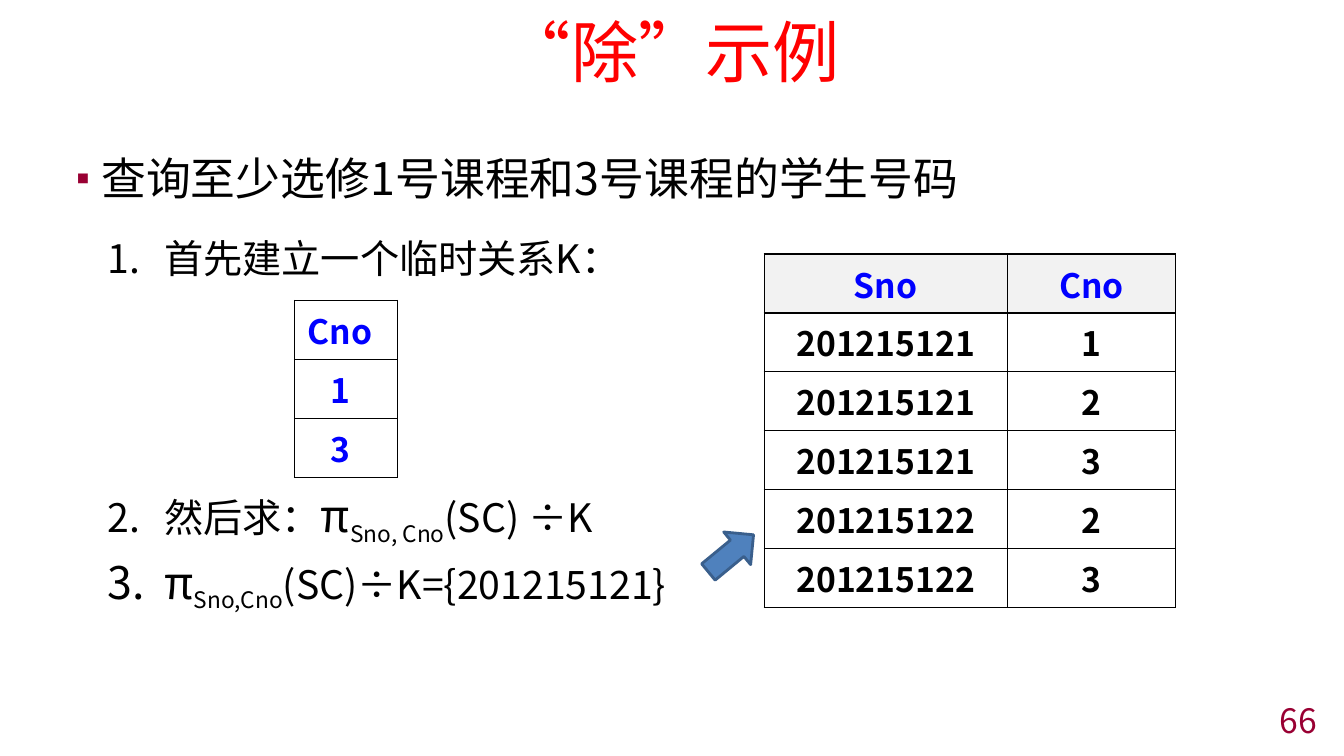
"""Build the slide that works through an example of relational division."""
import pptx
import pptx.util
import pptx.dml.color
import pptx.enum.shapes
import pptx.enum.text
import pptx.oxml
import pptx.oxml.ns
from lxml import etree

Inches = pptx.util.Inches
Pt = pptx.util.Pt
RGBColor = pptx.dml.color.RGBColor
PP_ALIGN = pptx.enum.text.PP_ALIGN
MSO_ANCHOR = pptx.enum.text.MSO_ANCHOR
qn = pptx.oxml.ns.qn

FONT = "Noto Sans CJK SC"
RED = RGBColor(0xFF, 0x00, 0x00)
BLACK = RGBColor(0x00, 0x00, 0x00)
BLUE = RGBColor(0x00, 0x00, 0xFF)
CRIMSON = RGBColor(0x99, 0x00, 0x33)
HEADER_GREY = RGBColor(0xF2, 0xF2, 0xF2)
ARROW_FILL = RGBColor(0x4F, 0x81, 0xBD)
ARROW_EDGE = RGBColor(0x3A, 0x5F, 0x8C)
ROW_HEIGHT = 3.51 / 6


def write(paragraph, text, size=28, color=BLACK, bold=False, baseline=0, align=None):
    """Add one formatted run to a paragraph."""
    run = paragraph.add_run()
    run.text = text
    run.font.size = Pt(size)
    run.font.bold = bold
    run.font.color.rgb = color
    run.font.name = FONT
    properties = run.font._element
    etree.SubElement(properties, qn("a:ea"), typeface=FONT)
    if baseline:
        properties.set("baseline", str(baseline * 1000))
    if align is not None:
        paragraph.alignment = align


def add_relation(rows, left, top, widths, body_color, header_fill, align, body_inset):
    """Draw a relation as a bordered table with a blue header."""
    relation = slide.shapes.add_table(
        len(rows), len(widths), Inches(left), Inches(top),
        Inches(sum(widths)), Inches(ROW_HEIGHT * len(rows))).table
    relation.first_row = relation.horz_banding = False
    for column, width in zip(relation.columns, widths):
        column.width = Inches(width)
    for r, row in enumerate(rows):
        for c, value in enumerate(row):
            cell = relation.cell(r, c)
            cell.margin_left = Inches(body_inset if r else 0.13)
            cell.margin_right = Inches(0.13)
            cell.margin_top = cell.margin_bottom = Inches(0.05)
            for side in ("lnL", "lnR", "lnT", "lnB"):
                border = etree.SubElement(cell._tc.get_or_add_tcPr(), qn("a:" + side), w=str(Pt(1)))
                paint = etree.SubElement(border, qn("a:solidFill"))
                etree.SubElement(paint, qn("a:srgbClr"), val=str(BLACK))
            if r == 0 and header_fill is not None:
                cell.fill.solid()
                cell.fill.fore_color.rgb = header_fill
            else:
                cell.fill.background()
            write(cell.text_frame.paragraphs[0], value, size=24, bold=True,
                  color=body_color if r else BLUE, align=align)


deck = pptx.Presentation()
deck.slide_width = Inches(13.33)
deck.slide_height = Inches(7.5)
slide = deck.slides.add_slide(deck.slide_layouts[1])

title = slide.shapes.title
title.left, title.top, title.width, title.height = Inches(0), Inches(0), Inches(13.33), Inches(1)
title.text_frame.auto_size = pptx.enum.text.MSO_AUTO_SIZE.NONE
title.text_frame.vertical_anchor = MSO_ANCHOR.MIDDLE
write(title.text_frame.paragraphs[0], "“除”示例", size=48, color=RED, align=PP_ALIGN.CENTER)

body = slide.placeholders[1]
body.left, body.top, body.width, body.height = Inches(0.65), Inches(1.17), Inches(12.04), Inches(5.98)
steps = body.text_frame
steps.auto_size = pptx.enum.text.MSO_AUTO_SIZE.NONE
steps.vertical_anchor = MSO_ANCHOR.TOP
steps.margin_top = Inches(0.32)
steps.margin_left = Inches(0)

question = steps.paragraphs[0]
question.space_before = Pt(0)
question.line_spacing = 1.0
write(question, "查询至少选修1号课程和3号课程的学生号码", size=32)
marks = question._p.get_or_add_pPr()
marks.set("marL", str(Inches(0.32)))
marks.set("indent", str(Inches(-0.32)))
bullet_color = etree.SubElement(marks, qn("a:buClr"))
etree.SubElement(bullet_color, qn("a:srgbClr"), val=str(CRIMSON))
etree.SubElement(marks, qn("a:buSzPct"), val="80000")
etree.SubElement(marks, qn("a:buFont"), typeface=FONT)
etree.SubElement(marks, qn("a:buChar"), char="▪")

step_list = [
    (22, 1.0, [("首先建立一个临时关系K：", {})]),
    (147, 1.0, [("然后求：", {}), ("π", {"size": 32}),
                ("Sno, Cno", {"baseline": -25}), ("(SC) ÷K", {})]),
    (8, 0.9, [("π", {"size": 32}), ("Sno,Cno", {"baseline": -22}),
              ("(SC)÷K={201215121}", {})]),
]
for number, (gap, spacing, parts) in enumerate(step_list, 1):
    step = steps.add_paragraph()
    step.level = 1
    step.space_before = Pt(gap)
    step.line_spacing = spacing
    for text, style in parts:
        write(step, text, **style)
    marks = step._p.get_or_add_pPr()
    marks.set("marL", str(Inches(0.98)))
    marks.set("indent", str(Inches(-0.56)))
    etree.SubElement(marks, qn("a:buFont"), typeface=FONT)
    etree.SubElement(marks, qn("a:buAutoNum"), type="arabicPeriod", startAt=str(number))

page_number = slide.shapes.add_textbox(Inches(10.33), Inches(6.99), Inches(2.83), Inches(0.31))
page_number.text_frame.word_wrap = True
page_number.text_frame.vertical_anchor = MSO_ANCHOR.MIDDLE
write(page_number.text_frame.paragraphs[0], "66", size=24, color=CRIMSON, align=PP_ALIGN.RIGHT)

add_relation([["Cno"], ["1"], ["3"]], 2.92, 2.98, [1.02],
             BLUE, None, PP_ALIGN.LEFT, 0.36)
add_relation([["Sno", "Cno"],
              ["201215121", "1"], ["201215121", "2"], ["201215121", "3"],
              ["201215122", "2"], ["201215122", "3"]], 7.58, 2.52, [2.41, 1.67],
             BLACK, HEADER_GREY, PP_ALIGN.CENTER, 0.13)

result_arrow = slide.shapes.add_shape(
    pptx.enum.shapes.MSO_SHAPE.RIGHT_ARROW, Inches(6.96), Inches(5.28), Inches(0.58), Inches(0.42))
result_arrow.rotation = 320.5
result_arrow.shadow.inherit = False
result_arrow.fill.solid()
result_arrow.fill.fore_color.rgb = ARROW_FILL
result_arrow.line.color.rgb = ARROW_EDGE
result_arrow.line.width = Pt(2)

deck.save("out.pptx")
